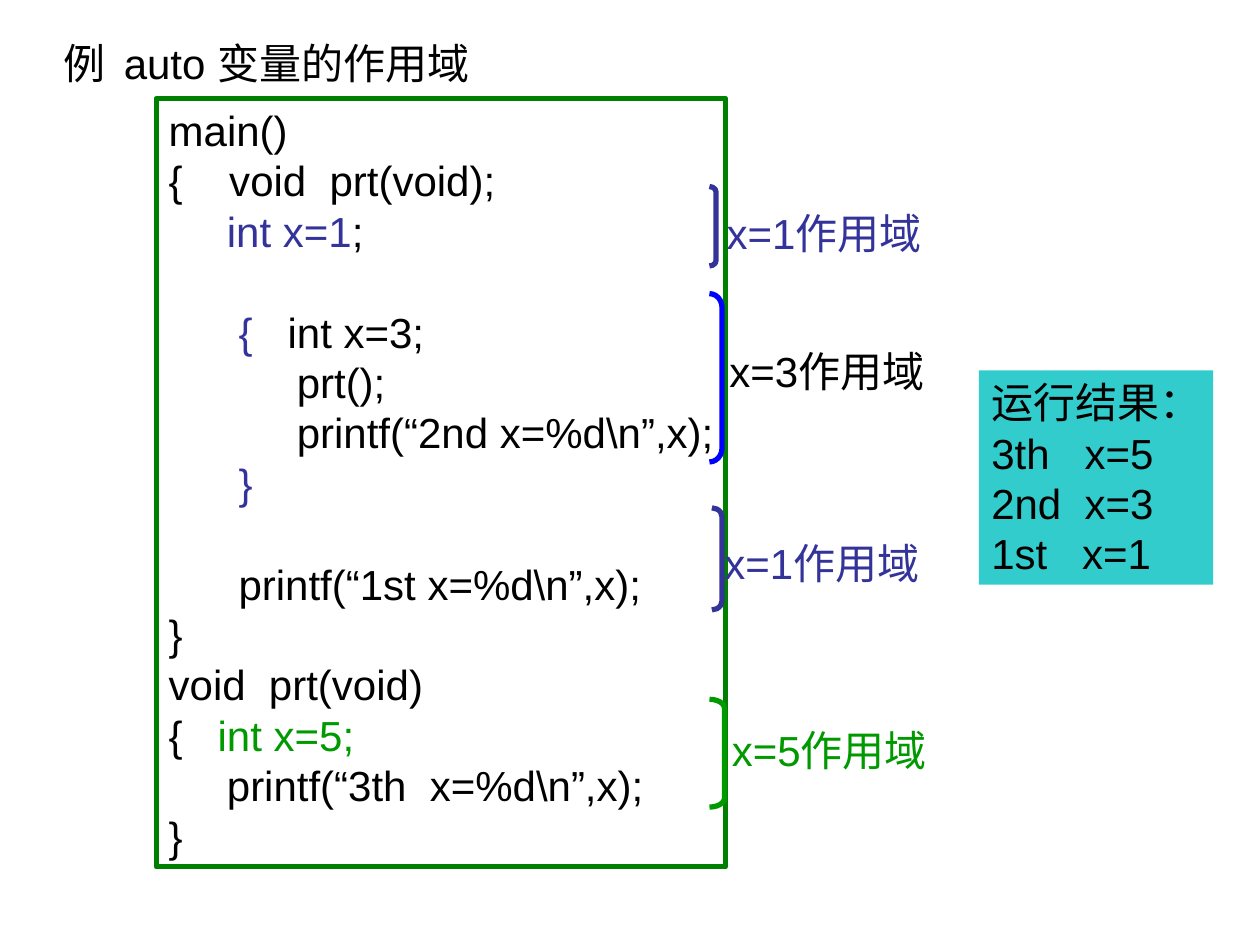
from pptx import Presentation
from pptx.dml.color import RGBColor
from pptx.enum.shapes import MSO_SHAPE
from pptx.enum.text import MSO_ANCHOR, PP_ALIGN
from pptx.util import Pt

RECT, BRACKET = MSO_SHAPE.RECTANGLE, MSO_SHAPE.RIGHT_BRACKET
TOP, MIDDLE = MSO_ANCHOR.TOP, MSO_ANCHOR.MIDDLE
LEFT = PP_ALIGN.LEFT

COLORS = {
    "black": "000000", "white": "FFFFFF", "frame": "008000", "result": "33CCCC",
    "indigo": "333399", "blue": "0000FF", "green": "009900",
}

# Each line is a list of runs: (text, colour)
CODE = [
    [("main()", "black")],
    [("{    void  prt(void);", "black")],
    [("     int x=1", "indigo"), (";", "black")],
    [],
    [("      ", "black"), ("{", "indigo"), ("   int x=3;", "black")],
    [("           prt();", "black")],
    [("           printf(“2nd x=%d\\n”,x);", "black")],
    [("      ", "black"), ("}", "indigo")],
    [],
    [("      printf(“1st x=%d\\n”,x);", "black")],
    [("}", "black")],
    [("void  prt(void)", "black")],
    [("{   ", "black"), ("int x=5;", "green")],
    [("     printf(“3th  x=%d\\n”,x);", "black")],
    [("}", "black")],
]
RESULT = ["运行结果：", "3th   x=5", "2nd  x=3", "1st   x=1"]

# Bracket box, corner ratio, line colour, label, label place, label colour
SCOPES = [
    ((405.4, 106.6, 3.8, 45.4), 0.83, "indigo", "x=1作用域", (408.2, 115.2), "indigo"),
    ((406.8, 290.2, 5.8, 58.3), 0.9, "indigo", "x=1作用域", (406.8, 303.8), "indigo"),
    ((405.4, 167.8, 7.2, 96.2), 1.1, "blue", "x=3作用域", (409.7, 193.7), "black"),
    ((405.4, 399.6, 8.6, 61.6), 0.6, "green", "x=5作用域", (411.1, 410.4), "green"),
]


def rgb(name):
    return RGBColor.from_string(COLORS[name])


def plain(lines, color="black"):
    """Turn strings into lines of one run each."""
    return [[(line, color)] for line in lines]


def write(shape, lines, anchor=TOP):
    frame = shape.text_frame
    frame.word_wrap = False
    frame.vertical_anchor = anchor
    for i, runs in enumerate(lines):
        para = frame.add_paragraph() if i else frame.paragraphs[0]
        para.alignment = LEFT
        para.font.size = Pt(24)
        para.font.name = "Arial"
        tones = {color for _, color in runs}
        if len(tones) == 1:
            para.font.color.rgb = rgb(*tones)
        for text, color in runs:
            run = para.add_run()
            run.text = text
            if len(tones) > 1:
                run.font.color.rgb = rgb(color)


def add_title(slide, text):
    title = slide.shapes.title
    title.left, title.top, title.width, title.height = map(Pt, (28.8, 17.6, 275, 36))
    write(title, plain([text]))


def add_panel(slide, box, lines, fill, line=None):
    panel = slide.shapes.add_shape(RECT, *map(Pt, box))
    panel.shadow.inherit = False
    panel.fill.solid()
    panel.fill.fore_color.rgb = rgb(fill)
    if line:
        panel.line.color.rgb = rgb(line)
        panel.line.width = Pt(3)
    else:
        panel.line.fill.background()
    write(panel, lines)


def add_scope(slide, box, ratio, color, text, place, tone):
    """Add a bracket and the label beside it."""
    mark = slide.shapes.add_shape(BRACKET, *map(Pt, box))
    mark.shadow.inherit = False
    mark.adjustments[0] = ratio
    mark.fill.background()
    mark.line.color.rgb = rgb(color)
    mark.line.width = Pt(3)
    label = slide.shapes.add_textbox(*map(Pt, (*place, 142, 36)))
    write(label, plain([text], tone), MIDDLE)


def main():
    deck = Presentation()
    deck.slide_width, deck.slide_height = Pt(720), Pt(540)
    slide = deck.slides.add_slide(deck.slide_layouts[5])
    add_title(slide, "例  auto 变量的作用域")
    add_panel(slide, (89.3, 56.2, 325.4, 439.2), CODE, "white", "frame")
    add_panel(slide, (559.4, 211.7, 133.9, 122.4), plain(RESULT), "result")
    for scope in SCOPES:
        add_scope(slide, *scope)
    deck.save("out.pptx")


if __name__ == "__main__":
    main()
